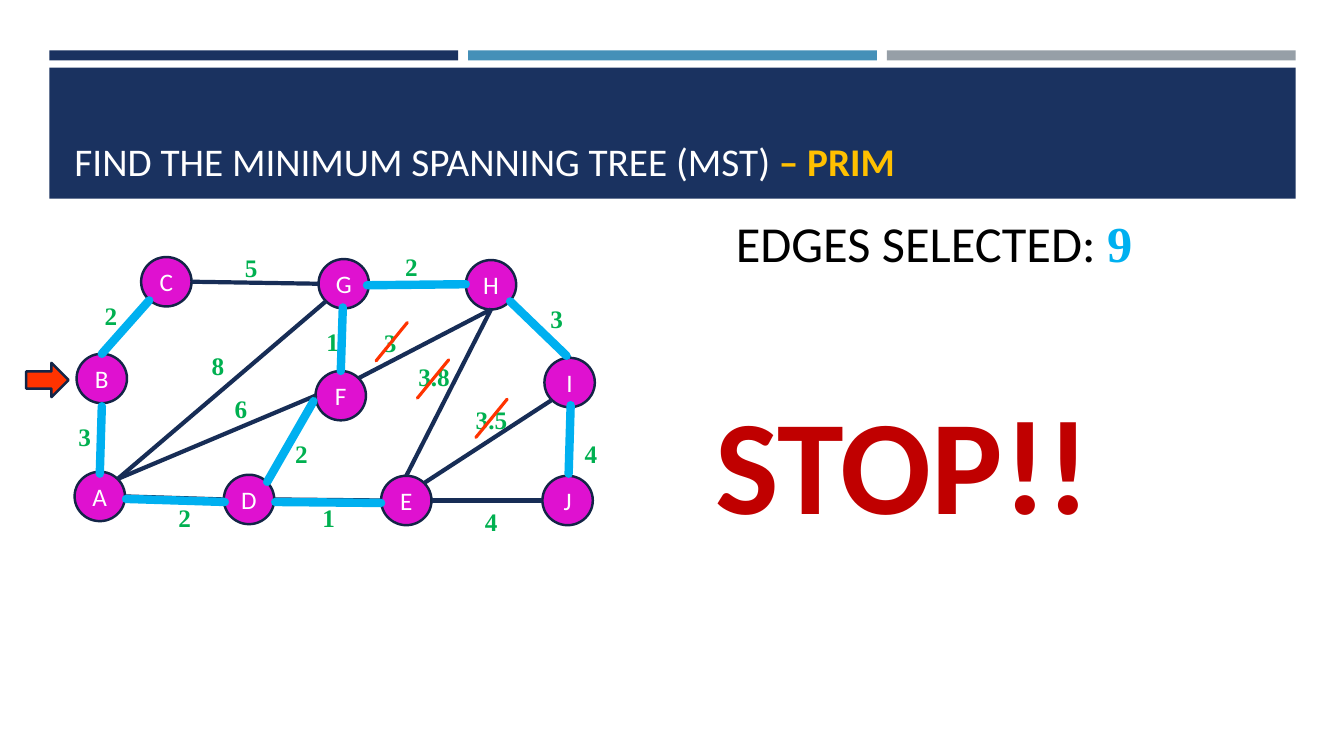
from math import sqrt

from lxml import etree
from pptx import Presentation
from pptx.dml.color import RGBColor
from pptx.enum.shapes import MSO_CONNECTOR, MSO_SHAPE
from pptx.enum.text import MSO_ANCHOR, PP_ALIGN
from pptx.oxml.ns import qn
from pptx.util import Inches, Pt

RECTANGLE, OVAL, ARROW = MSO_SHAPE.RECTANGLE, MSO_SHAPE.OVAL, MSO_SHAPE.RIGHT_ARROW
STRAIGHT = MSO_CONNECTOR.STRAIGHT
TOP, MIDDLE, BOTTOM = MSO_ANCHOR.TOP, MSO_ANCHOR.MIDDLE, MSO_ANCHOR.BOTTOM
CENTER = PP_ALIGN.CENTER

NAVY = RGBColor(0x1A, 0x32, 0x60)
STEEL = RGBColor(0x45, 0x90, 0xB8)
GREY = RGBColor(0x96, 0x9F, 0xA7)
OUTLINE = RGBColor(0x13, 0x25, 0x47)
EDGE = RGBColor(0x17, 0x2D, 0x56)
MAGENTA = RGBColor(0xDF, 0x11, 0xD0)
GREEN = RGBColor(0x00, 0xB0, 0x50)
SKY = RGBColor(0x00, 0xB0, 0xF0)
ORANGE = RGBColor(0xFF, 0x33, 0x00)
GOLD = RGBColor(0xFF, 0xC0, 0x00)
RED = RGBColor(0xC0, 0x00, 0x00)
BLACK = RGBColor(0, 0, 0)
WHITE = RGBColor(0xFF, 0xFF, 0xFF)
SANS, SERIF = "Calibri", "Times New Roman"

# Graph data: lengths in inches from the corner of the graph's box
NODE_W, NODE_H = 0.5, 0.49
NODES = {
    "B": (0.56, 1.11), "A": (0.54, 2.28), "C": (1.2, 0.15), "D": (2.02, 2.31),
    "E": (3.58, 2.32), "G": (2.96, 0.17), "I": (5.2, 1.15), "J": (5.18, 2.32),
    "H": (4.42, 0.18), "F": (2.93, 1.28),
}
# Each edge: node and compass side at both ends
EDGES = [
    "A E D W", "D E E W", "E E J W", "J N I S", "I N H SE", "H W G E",
    "G W C E", "C SW B N", "B S A N", "A NE F W", "A NE G SW", "G S F N",
    "F W D NE", "H S E N", "H S F NE", "I SW E NE",
]
WEIGHTS = [
    ("2", 1.47, 2.53), ("2", 3.72, 0.04), ("2", 2.63, 1.9), ("2", 0.74, 0.53),
    ("3", 0.48, 1.73), ("4", 5.5, 1.9), ("3", 5.16, 0.56), ("4", 4.51, 2.57),
    ("5", 2.13, 0.05), ("1", 2.9, 2.53), ("6", 2.03, 1.45), ("8", 1.8, 1.03),
    ("3.8", 3.85, 1.14), ("3", 3.51, 0.8), ("3.5", 4.42, 1.56), ("1", 2.94, 0.79),
]
TREE = [
    ((1.28, 0.58), (0.81, 1.11)), ((0.79, 2.3), (0.81, 1.63)),
    ((1.05, 2.55), (2.03, 2.58)), ((2.53, 2.58), (3.58, 2.59)),
    ((2.91, 1.58), (2.45, 2.38)), ((3.18, 1.28), (3.2, 0.65)),
    ((3.44, 0.43), (4.42, 0.42)), ((4.86, 0.59), (5.42, 1.13)),
    ((5.44, 2.3), (5.46, 1.62)),
]
REJECTED = [(3.53, 0.8), (4.52, 1.56), (3.94, 1.17)]


def add_runs(frame, runs):
    for text, size, font, color, bold in runs:
        run = frame.paragraphs[0].add_run()
        run.text = text
        run.font.size = Pt(size)
        run.font.name = font
        run.font.color.rgb = color
        run.font.bold = bold


def add_text(slide, box, runs, anchor=TOP, wrap=False):
    frame = slide.shapes.add_textbox(*map(Inches, box)).text_frame
    frame.word_wrap = wrap
    frame.vertical_anchor = anchor
    add_runs(frame, runs)


def add_block(slide, kind, box, fill, outline=None):
    block = slide.shapes.add_shape(kind, *map(Inches, box))
    block.shadow.inherit = False
    block.fill.solid()
    block.fill.fore_color.rgb = fill
    if outline is None:
        block.line.fill.background()
    else:
        block.line.color.rgb = outline
        block.line.width = Pt(1.75)
    return block


def add_line(slide, start, end, color, width, cap="flat"):
    line = slide.shapes.add_connector(STRAIGHT, *map(Inches, (*start, *end)))
    line.line.color.rgb = color
    line.line.width = Pt(width)
    line.line._get_or_add_ln().set("cap", cap)
    etree.SubElement(line._element.spPr, qn("a:effectLst"))


def node_site(name, side):
    """Point on a node's rim in the given compass direction."""
    x, y = NODES[name]
    dx = ("E" in side) - ("W" in side)
    dy = ("S" in side) - ("N" in side)
    reach = 2 * sqrt(dx * dx + dy * dy)
    return x + NODE_W * (0.5 + dx / reach), y + NODE_H * (0.5 + dy / reach)


def draw_header(slide, left, top, width, height):
    # Three colour strips in equal columns
    gap = 0.1
    strip = (width - 2 * gap) / 3
    for column, color in enumerate((NAVY, STEEL, GREY)):
        add_block(slide, RECTANGLE, (left + column * (strip + gap), top, strip, 0.1), color)
    # Title band
    band_top, band_height = top + 0.17, height - 0.17
    add_block(slide, RECTANGLE, (left, band_top, width, band_height), NAVY)
    add_text(slide, (left + 0.15, band_top + 0.1, width - 0.3, band_height - 0.19), [
        ("FIND THE MINIMUM SPANNING TREE (MST) ", 28, SANS, WHITE, False),
        ("– PRIM", 28, SANS, GOLD, True),
    ], BOTTOM, True)


def draw_graph(slide, left, top):
    def place(point):
        return left + point[0], top + point[1]

    # Nodes
    for name, corner in NODES.items():
        node = add_block(slide, OVAL, (*place(corner), NODE_W, NODE_H), MAGENTA, OUTLINE)
        frame = node.text_frame
        frame.word_wrap = False
        frame.vertical_anchor = MIDDLE
        frame.paragraphs[0].alignment = CENTER
        add_runs(frame, [(name, 18, SANS, WHITE, False)])
    # Edges
    for edge in EDGES:
        first, first_side, second, second_side = edge.split()
        add_line(slide, place(node_site(first, first_side)),
                 place(node_site(second, second_side)), EDGE, 3)
    # Weights
    for weight, x, y in WEIGHTS:
        width = 0.34 if len(weight) == 1 else 0.52
        add_text(slide, (*place((x, y)), width, 0.4), [(weight, 18, SERIF, GREEN, True)])
    # Selected tree, start marker and rejected edges
    for start, end in TREE:
        add_line(slide, place(start), place(end), SKY, 6, "rnd")
    add_block(slide, ARROW, (*place((0.06, 1.2)), 0.42, 0.34), ORANGE, OUTLINE)
    for x, y in REJECTED:
        add_line(slide, place((x + 0.31, y)), place((x, y + 0.38)), ORANGE, 2.25, "rnd")


def draw_status(slide, left, top):
    add_text(slide, (left + 0.2, top, 4.56, 0.71), [
        ("EDGES SELECTED: ", 36, SANS, BLACK, False),
        ("9", 36, SERIF, SKY, True),
    ])
    add_text(slide, (left, top + 1.67, 4.69, 1.72), [("STOP!!", 96, SANS, RED, True)])


def main():
    deck = Presentation()
    deck.slide_width, deck.slide_height = Inches(13.33), Inches(7.5)
    slide = deck.slides.add_slide(deck.slide_layouts[6])
    draw_header(slide, 0.49, 0.5, 12.36, 1.47)
    draw_graph(slide, 0.2, 2.4)
    draw_status(slide, 7, 2.05)
    deck.save("out.pptx")


if __name__ == "__main__":
    main()
